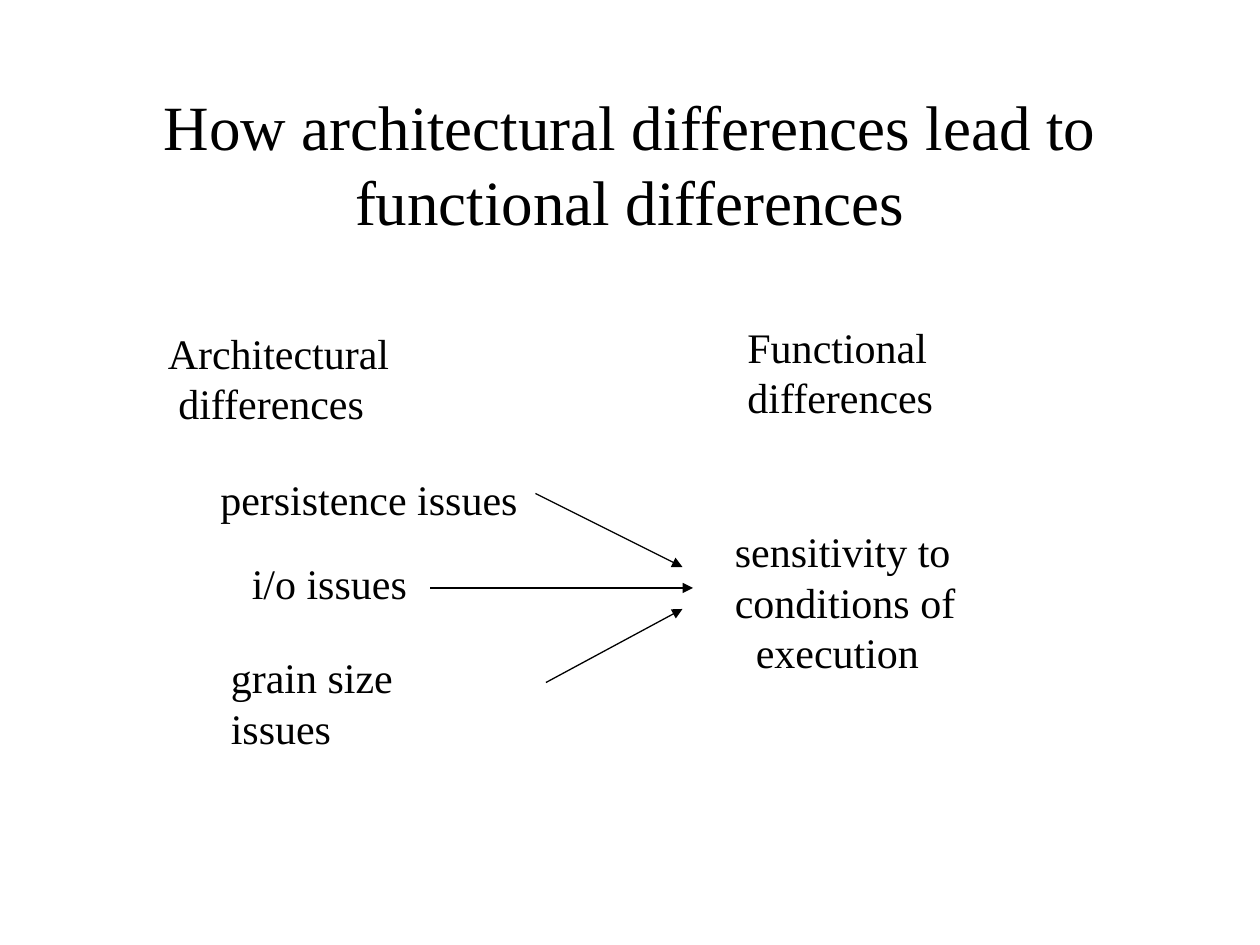
from dataclasses import dataclass

from lxml.etree import SubElement
from pptx import Presentation
from pptx.dml.color import RGBColor
from pptx.enum.shapes import MSO_CONNECTOR
from pptx.enum.text import MSO_ANCHOR, PP_ALIGN
from pptx.oxml.ns import qn
from pptx.slide import Slide
from pptx.util import Inches, Length, Pt

BLACK = RGBColor(0, 0, 0)
FONT = "Times New Roman"
COLS = 120  # grid of 120 columns by 90 rows
WIDTH, HEIGHT = Inches(10), Inches(7.5)
PAD, LINE = 1.2, 4.8  # rows taken by the insets and by one line of text


@dataclass(frozen=True)
class Label:
    lines: tuple[str, ...]
    col: float
    row: float
    cols: float
    indent: float = 0  # points, last line only


@dataclass(frozen=True)
class Arrow:
    start: tuple[float, float]
    end: tuple[float, float]


LABELS = (
    Label(("Architectural", "differences"), 14.8, 30.6, 23.5, indent=6),
    Label(("Functional", "differences"), 70, 30, 20.5),
    Label(("persistence issues",), 19.8, 44.5, 30.7),
    Label(("i/o issues",), 22.8, 52.5, 17.2),
    Label(("grain size issues",), 20.8, 61.5, 28.3),
    Label(("sensitivity to", "conditions of", "execution"),
          68.8, 49.5, 24.4, indent=12),
)

ARROWS = (
    Arrow((41, 56), (66, 56)),
    Arrow((51, 47), (65, 54)),
    Arrow((52, 65), (65, 58)),
)


def unit(count: float) -> Length:
    """Length of a number of grid cells."""
    return Length(round(WIDTH * count / COLS))


def write(slide: Slide, lines: tuple[str, ...], box: tuple[float, ...], *,
          size: float = 24, align: PP_ALIGN = PP_ALIGN.LEFT,
          anchor: MSO_ANCHOR = MSO_ANCHOR.TOP, wrap: bool = False,
          indent: float = 0) -> None:
    """Place lines of text in a box given in grid cells."""
    frame = slide.shapes.add_textbox(*map(unit, box)).text_frame
    frame.word_wrap = wrap
    frame.vertical_anchor = anchor
    for i, line in enumerate(lines):
        para = frame.add_paragraph() if i else frame.paragraphs[0]
        para.alignment = align
        if indent and i == len(lines) - 1:
            para._p.get_or_add_pPr().set("marL", str(Pt(indent)))
        run = para.add_run()
        run.text = line
        run.font.name = FONT
        run.font.size = Pt(size)
        run.font.color.rgb = BLACK


def draw_label(slide: Slide, label: Label) -> None:
    rows = PAD + LINE * len(label.lines)
    write(slide, label.lines, (label.col, label.row, label.cols, rows),
          indent=label.indent)


def draw_arrow(slide: Slide, arrow: Arrow) -> None:
    ends = map(unit, arrow.start + arrow.end)
    link = slide.shapes.add_connector(MSO_CONNECTOR.STRAIGHT, *ends)
    link.line.color.rgb = BLACK
    link.line.width = Pt(0.75)
    SubElement(link.line._get_or_add_ln(), qn("a:tailEnd"), type="triangle")
    SubElement(link._element.spPr, qn("a:effectLst"))


def main() -> None:
    deck = Presentation()
    deck.slide_width, deck.slide_height = WIDTH, HEIGHT
    slide = deck.slides.add_slide(deck.slide_layouts[6])

    # Title
    write(slide,
          ("How architectural differences lead to functional differences",),
          (9, 8, 102, 15), size=36, align=PP_ALIGN.CENTER,
          anchor=MSO_ANCHOR.MIDDLE, wrap=True)

    # Headings, issues and their effect
    for label in LABELS:
        draw_label(slide, label)

    # Arrows from each issue to the effect
    for arrow in ARROWS:
        draw_arrow(slide, arrow)

    deck.save("out.pptx")


if __name__ == "__main__":
    main()
